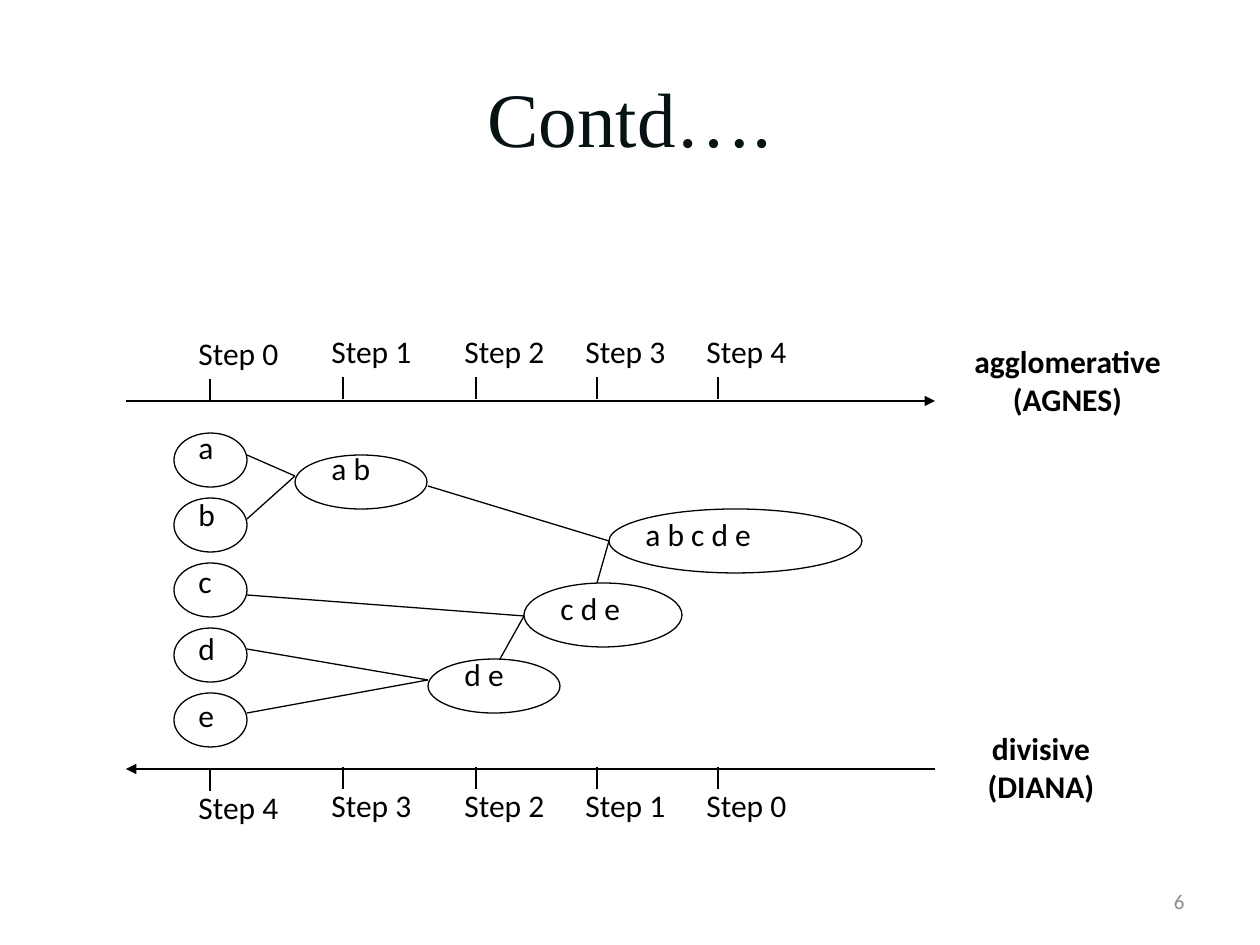
from dataclasses import dataclass

from lxml.etree import SubElement
from pptx import Presentation
from pptx.dml.color import RGBColor
from pptx.enum.shapes import MSO_CONNECTOR, MSO_SHAPE
from pptx.enum.text import MSO_ANCHOR, PP_ALIGN
from pptx.oxml.ns import qn
from pptx.util import Pt

EMU_PER_PX = 914400 / 126


@dataclass(frozen=True)
class Theme:
    ink: RGBColor = RGBColor(0x00, 0x00, 0x00)
    title_ink: RGBColor = RGBColor(0x07, 0x12, 0x15)
    muted: RGBColor = RGBColor(0x8C, 0x8C, 0x8C)
    title_font: str = "Times New Roman"
    body_font: str = "Calibri"
    title_size: int = 44
    body_size: int = 18
    number_size: int = 12
    thin: float = 0.75
    thick: float = 1.5


THEME = Theme()

STEP_XS = (210, 343, 476, 597, 718)
AXIS_LEFT, AXIS_RIGHT = 126, 935
AGNES_Y, DIANA_Y = 401, 769
TICK_LENGTH = 22
LABEL_INDENT = 24

ITEMS = "abcde"
ITEM_LEFT, ITEM_TOP, ITEM_PITCH = 174, 433, 65
ITEM_WIDTH, ITEM_HEIGHT = 73, 54
ITEM_LABEL_TOP, ITEM_LABEL_PITCH = 422, 67

# members, left, top, width, height, label top
CLUSTERS = (
    ("a b", 295, 455, 132, 54, 443),
    ("d e", 428, 659, 132, 54, 649),
    ("c d e", 524, 583, 158, 64, 583),
    ("a b c d e", 609, 509, 253, 64, 509),
)

# where two or more branches meet, and where each of them starts
MERGES = {
    (295, 476): ((247, 455), (247, 519)),
    (428, 680): ((247, 649), (247, 713)),
    (524, 616): ((247, 595), (500, 659)),
    (609, 541): ((428, 486), (597, 583)),
}


def px(*lengths):
    return [round(length * EMU_PER_PX) for length in lengths]


def add_text(slide, box, lines, size=THEME.body_size, font=THEME.body_font,
             color=THEME.ink, bold=False, align=PP_ALIGN.LEFT,
             anchor=MSO_ANCHOR.TOP):
    frame = slide.shapes.add_textbox(*px(*box)).text_frame
    frame.word_wrap = True
    frame.vertical_anchor = anchor
    for index, line in enumerate(lines):
        paragraph = frame.add_paragraph() if index else frame.paragraphs[0]
        paragraph.alignment = align
        run = paragraph.add_run()
        run.text = line
        run.font.size = Pt(size)
        run.font.name = font
        run.font.bold = bold
        run.font.color.rgb = color


def add_line(slide, start, end, width=THEME.thin, arrow=False):
    line = slide.shapes.add_connector(MSO_CONNECTOR.STRAIGHT, *px(*start, *end))
    line.line.color.rgb = THEME.ink
    line.line.width = Pt(width)
    if arrow:
        SubElement(line.line._get_or_add_ln(), qn("a:tailEnd"), type="triangle")
    SubElement(line._element.spPr, qn("a:effectLst"))


def add_ellipse(slide, *box):
    ellipse = slide.shapes.add_shape(MSO_SHAPE.OVAL, *px(*box))
    ellipse.shadow.inherit = False
    ellipse.fill.background()
    ellipse.line.color.rgb = THEME.ink
    ellipse.line.width = Pt(THEME.thin)


def add_axis(slide, start_x, end_x, y, tick_offset, label_offset, steps):
    """Draw an arrow with its ticks; the first step sits 2 px lower."""
    add_line(slide, (start_x, y), (end_x, y), THEME.thick, arrow=True)
    for index, (x, step) in enumerate(zip(STEP_XS, steps)):
        base = y if index == 0 else y - 2
        tick_top = base + tick_offset
        add_line(slide, (x, tick_top), (x, tick_top + TICK_LENGTH))
        add_text(slide, (x - LABEL_INDENT, base + label_offset, 121, 52),
                 [f"Step {step}"])


def add_items(slide):
    for row, item in enumerate(ITEMS):
        label_top = ITEM_LABEL_TOP + row * ITEM_LABEL_PITCH
        add_text(slide, (ITEM_LEFT + 12, label_top, 52, 64), [item])
        add_ellipse(slide, ITEM_LEFT, ITEM_TOP + row * ITEM_PITCH,
                    ITEM_WIDTH, ITEM_HEIGHT)


def add_clusters(slide):
    for members, left, top, width, height, label_top in CLUSTERS:
        add_text(slide, (left + LABEL_INDENT, label_top, width - 38, 64),
                 [members])
        add_ellipse(slide, left, top, width, height)


def add_branches(slide):
    for merge, starts in MERGES.items():
        for start in starts:
            add_line(slide, start, merge)


def main():
    presentation = Presentation()
    presentation.slide_width, presentation.slide_height = px(1260, 945)
    slide = presentation.slides.add_slide(presentation.slide_layouts[6])

    add_text(slide, (63, 38, 1134, 157), ["Contd…."], THEME.title_size,
             THEME.title_font, THEME.title_ink, align=PP_ALIGN.CENTER,
             anchor=MSO_ANCHOR.MIDDLE)
    add_text(slide, (903, 876, 294, 50), ["6"], THEME.number_size,
             color=THEME.muted, align=PP_ALIGN.RIGHT, anchor=MSO_ANCHOR.MIDDLE)

    add_axis(slide, AXIS_LEFT, AXIS_RIGHT, AGNES_Y, -TICK_LENGTH, -73, range(5))
    add_items(slide)
    add_clusters(slide)
    add_axis(slide, AXIS_RIGHT, AXIS_LEFT, DIANA_Y, 0, 13, reversed(range(5)))
    add_branches(slide)

    add_text(slide, (907, 336, 321, 116), ["agglomerative", "(AGNES)"],
             bold=True, align=PP_ALIGN.CENTER)
    add_text(slide, (931, 723, 220, 116), ["divisive", "(DIANA)"],
             bold=True, align=PP_ALIGN.CENTER)

    presentation.save("out.pptx")


if __name__ == "__main__":
    main()
